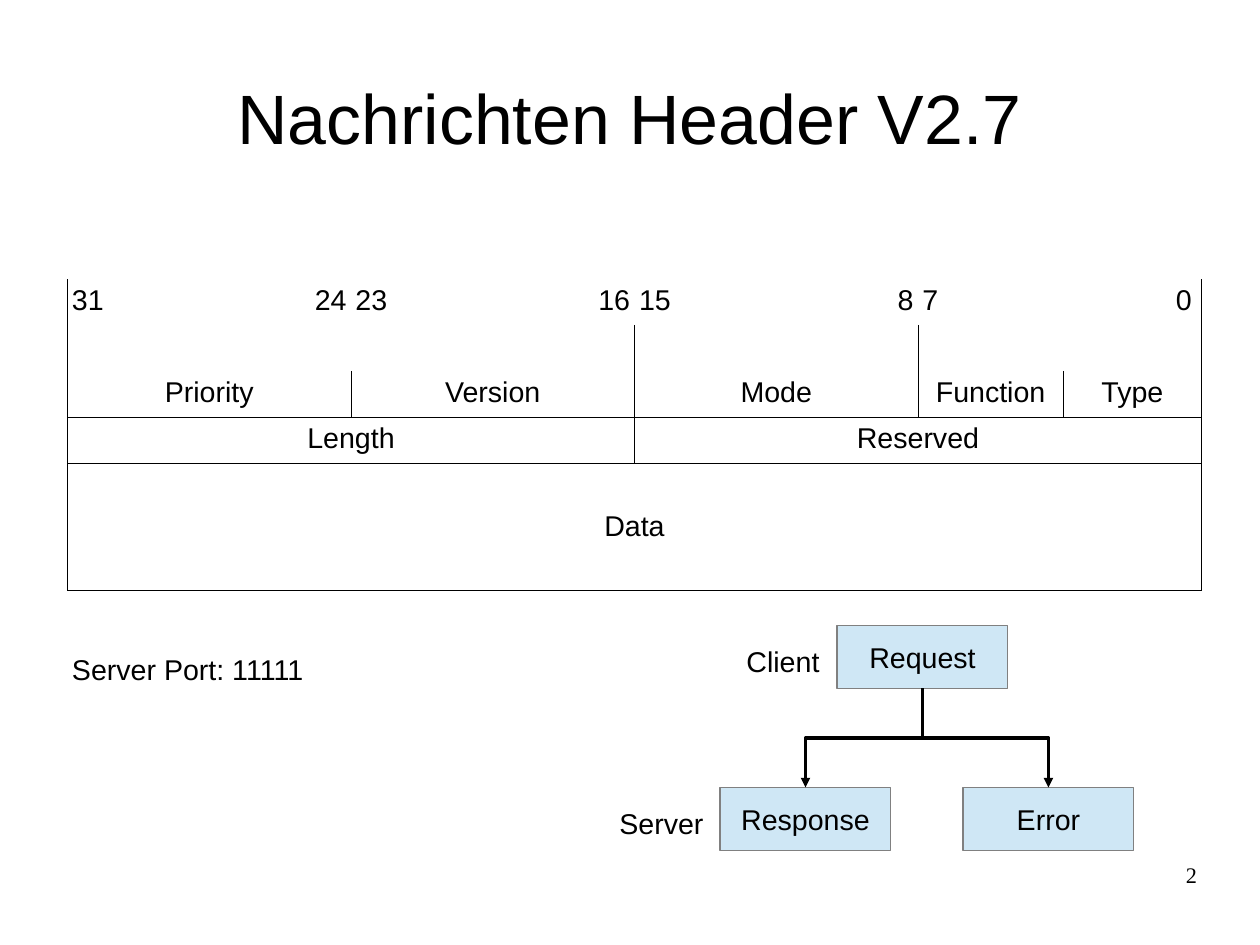
from lxml import etree
from pptx import Presentation
from pptx.dml.color import RGBColor
from pptx.enum.shapes import MSO_CONNECTOR, MSO_SHAPE
from pptx.enum.text import MSO_ANCHOR, PP_ALIGN
from pptx.oxml.ns import qn
from pptx.util import Cm, Pt

LEFT, CENTER, RIGHT = PP_ALIGN.LEFT, PP_ALIGN.CENTER, PP_ALIGN.RIGHT
TOP, MIDDLE = MSO_ANCHOR.TOP, MSO_ANCHOR.MIDDLE
RECTANGLE = MSO_SHAPE.RECTANGLE
ELBOW = MSO_CONNECTOR.ELBOW

BLACK, WHITE, GREY, LIGHT_BLUE = "000000", "FFFFFF", "808080", "CFE7F5"
HAIRLINE = Pt(0.06)

COLUMNS = [3.15] * 6 + [3.23, 2.28, 0.79]
ROWS = [1.02] * 4 + [2.84] * 2
# Per field: text, columns spanned, alignment, bordered sides
HEADER_FIELDS = [
    [("31", 1, LEFT, "L"), ("24", 1, RIGHT, ""), ("23", 1, LEFT, ""),
     ("16", 1, RIGHT, ""), ("15", 1, LEFT, ""), ("8", 1, RIGHT, ""),
     ("7", 2, LEFT, ""), ("0", 1, CENTER, "R")],
    [("", 2, LEFT, "L"), ("", 2, LEFT, "R"), ("", 2, LEFT, "LR"),
     ("", 3, LEFT, "LR")],
    [("Priority", 2, CENTER, "LRB"), ("Version", 2, CENTER, "LRB"),
     ("Mode", 2, CENTER, "LRB"), ("Function", 1, CENTER, "LRB"),
     ("Type", 2, CENTER, "LRB")],
    [("Length", 4, CENTER, "LRTB"), ("Reserved", 5, CENTER, "LRTB")],
    [("Data", 9, CENTER, "LRTB")],
    [("Server Port: 11111", 9, LEFT, "T")],
]


def rgb(value):
    return RGBColor.from_string(value)


class HeaderSlide:
    def __init__(self, slide, font="Arial", size=18):
        self.shapes = slide.shapes
        self.font = font
        self.size = size

    def set_text(self, frame, text, align, size=None, font=None):
        paragraph = frame.paragraphs[0]
        paragraph.text = text
        paragraph.alignment = align
        paragraph.font.name = font or self.font
        paragraph.font.size = Pt(size or self.size)
        paragraph.font.color.rgb = rgb(BLACK)

    def text(self, text, x, y, width, height, align, anchor, size, font=None):
        frame = self.shapes.add_textbox(
            Cm(x), Cm(y), Cm(width), Cm(height)).text_frame
        frame.word_wrap = True
        frame.vertical_anchor = anchor
        frame.margin_left = frame.margin_right = 0
        frame.margin_top = frame.margin_bottom = 0
        self.set_text(frame, text, align, size, font)

    def box(self, text, x, y, width=3.8, height=1.4,
            fill=LIGHT_BLUE, outline=GREY):
        box = self.shapes.add_shape(
            RECTANGLE, Cm(x), Cm(y), Cm(width), Cm(height))
        box.shadow.inherit = False
        box.fill.solid()
        box.fill.fore_color.rgb = rgb(fill)
        box.line.color.rgb = rgb(outline)
        box.line.width = Pt(0)
        box.text_frame.word_wrap = False
        box.text_frame.vertical_anchor = MIDDLE
        self.set_text(box.text_frame, text, CENTER)
        return box

    def role(self, text, x, y):
        self.box(text, x, y, 2.6, 1.8, WHITE, WHITE)

    def arrow_down(self, source, target):
        """Elbow arrow from the bottom of source to the top of target."""
        start_x = source.left + source.width // 2
        end_x = target.left + target.width // 2
        start_y, end_y = source.top + source.height, target.top
        middle_x, middle_y = (start_x + end_x) // 2, (start_y + end_y) // 2
        half_drop = (end_y - start_y) // 2
        half_shift = abs(end_x - start_x) // 2
        # The elbow starts out sideways, so it is turned to start downwards.
        goes_right = end_x > start_x
        if goes_right:
            half_drop = -half_drop
        arrow = self.shapes.add_connector(
            ELBOW, middle_x - half_drop, middle_y - half_shift,
            middle_x + half_drop, middle_y + half_shift)
        arrow.line.color.rgb = rgb(BLACK)
        arrow.line.width = Pt(0)
        properties = arrow._element.spPr
        turn = 270 if goes_right else 90
        properties.find(qn("a:xfrm")).set("rot", str(turn * 60000))
        etree.SubElement(properties.find(qn("a:ln")), qn("a:tailEnd"),
                         type="triangle")
        etree.SubElement(properties, qn("a:effectLst"))

    def borders(self, cell, sides):
        properties = cell._tc.get_or_add_tcPr()
        for side in "LRTB":
            line = etree.SubElement(properties, qn(f"a:ln{side}"),
                                    w=str(int(HAIRLINE)))
            if side in sides:
                solid = etree.SubElement(line, qn("a:solidFill"))
                etree.SubElement(solid, qn("a:srgbClr"), val=BLACK)
            else:
                etree.SubElement(line, qn("a:noFill"))

    def table(self, fields, columns, rows, x, y):
        table = self.shapes.add_table(
            len(rows), len(columns), Cm(x), Cm(y),
            Cm(sum(columns)), Cm(sum(rows))).table
        table.first_row = table.horz_banding = False
        for column, width in zip(table.columns, columns):
            column.width = Cm(width)
        for row, height in zip(table.rows, rows):
            row.height = Cm(height)
        for row, row_fields in enumerate(fields):
            first = 0
            for text, span, align, sides in row_fields:
                for column in range(first, first + span):
                    cell = table.cell(row, column)
                    self.borders(cell, sides)
                    cell.fill.solid()
                    cell.fill.fore_color.rgb = rgb(WHITE)
                    cell.margin_left = cell.margin_right = Cm(0.1)
                field = table.cell(row, first)
                if span > 1:
                    field.merge(table.cell(row, first + span - 1))
                field.vertical_anchor = MIDDLE if span == 9 else TOP
                self.set_text(field.text_frame, text, align)
                first += span
        return table


def main():
    presentation = Presentation()
    presentation.slide_width, presentation.slide_height = Cm(28), Cm(21)
    slide = HeaderSlide(
        presentation.slides.add_slide(presentation.slide_layouts[6]))

    slide.text("Nachrichten Header V2.7", 1.4, 0.84, 25.2, 3.5,
               CENTER, MIDDLE, 44)
    header = slide.table(HEADER_FIELDS, COLUMNS, ROWS, 1.5, 6.2)
    server_port = header.cell(5, 0)
    server_port.margin_top = Cm(0.86)

    slide.role("Client", 16.1, 13.8)
    request = slide.box("Request", 18.6, 13.9)
    slide.role("Server", 13.4, 17.4)
    for answer, x in (("Response", 16), ("Error", 21.4)):
        slide.arrow_down(request, slide.box(answer, x, 17.5))

    slide.text("2", 20.07, 19.13, 6.53, 1.45, RIGHT, TOP, 14,
               "Times New Roman")
    presentation.save("out.pptx")


if __name__ == "__main__":
    main()
